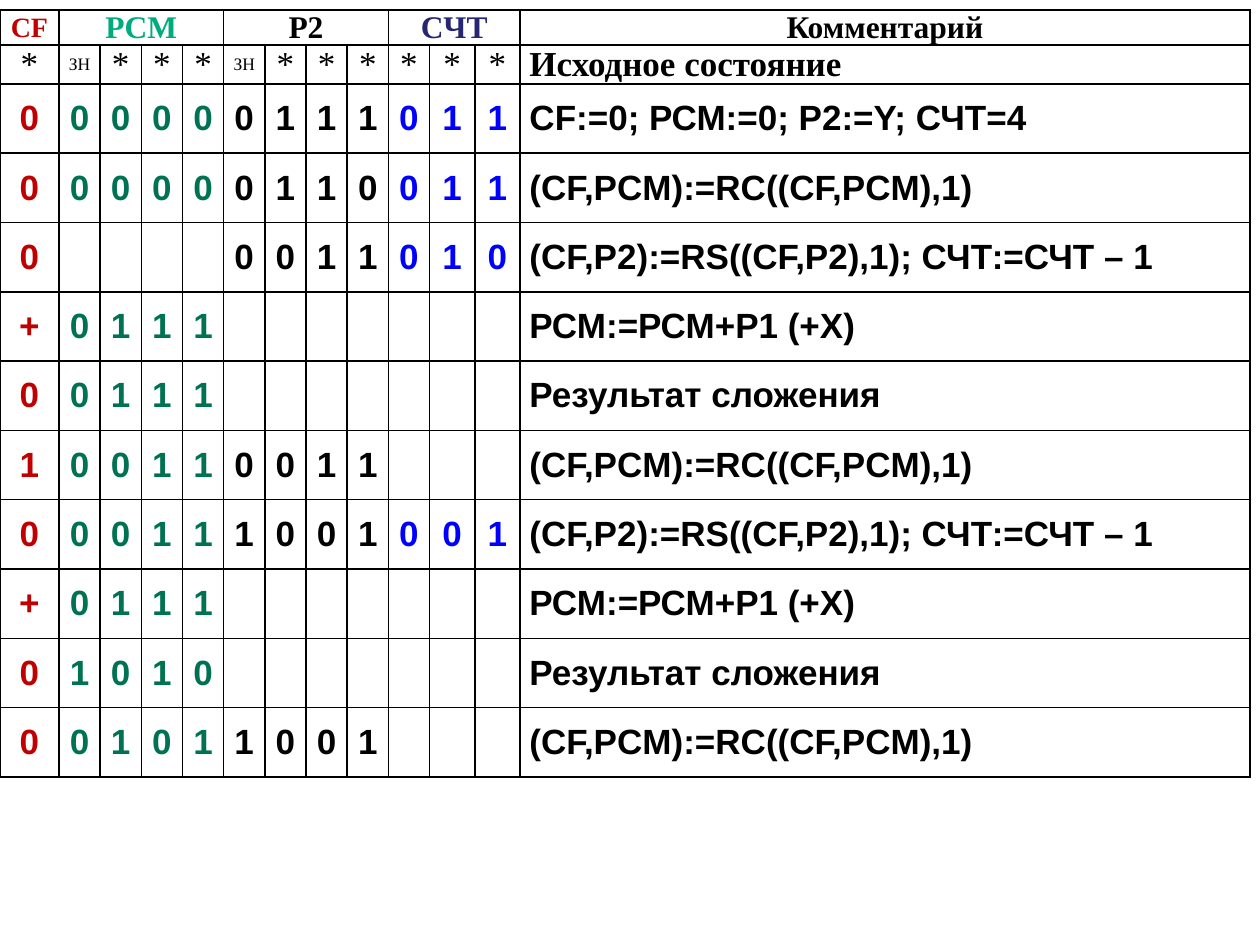
from dataclasses import dataclass

from lxml.etree import SubElement
from pptx import Presentation
from pptx.dml.color import RGBColor
from pptx.enum.text import MSO_ANCHOR, PP_ALIGN
from pptx.oxml.ns import qn
from pptx.util import Pt


@dataclass(frozen=True)
class Theme:
    black: str = "000000"
    red: str = "C00000"
    light_green: str = "00AB7E"
    green: str = "007254"
    navy: str = "262673"
    blue: str = "0000FF"
    serif: str = "Times New Roman"
    sans: str = "Arial"
    sign_size: int = 10
    flag_size: int = 16
    heading_size: int = 18
    body_size: int = 20


theme = Theme()


def write(cell, text, color=theme.black, size=theme.body_size, font=theme.sans,
          bold=True, align=PP_ALIGN.CENTER):
    para = cell.text_frame.paragraphs[0]
    para.alignment = align
    para.space_after = Pt(3)
    span = para.add_run()
    span.text = text
    span.font.name = font
    span.font.size = Pt(size)
    span.font.bold = bold
    span.font.color.rgb = RGBColor.from_string(color)


def outline(cell, width=1):
    """Draw a solid black border on all four sides of a cell."""
    properties = cell._tc.get_or_add_tcPr()
    for side in ("a:lnL", "a:lnR", "a:lnT", "a:lnB"):
        line = SubElement(properties, qn(side), w=str(Pt(width)))
        fill = SubElement(line, qn("a:solidFill"))
        SubElement(fill, qn("a:srgbClr"), val=theme.black)


# Register name, number of bits, heading colour, heading size, bit colour
registers = [
    ("CF", 1, theme.red, theme.flag_size, theme.red),
    ("PCM", 4, theme.light_green, theme.heading_size, theme.green),
    ("P2", 4, theme.black, theme.heading_size, theme.black),
    ("CЧТ", 3, theme.navy, theme.heading_size, theme.blue),
]
bit_marks = ["*", "ЗН", "*", "*", "*", "ЗН", "*", "*", "*", "*", "*", "*"]

rotate = "(CF,PCM):=RС((CF,PCM),1)"
shift = "(CF,P2):=RS((CF,P2),1); СЧТ:=СЧТ – 1"
add = "РСМ:=РСМ+Р1 (+X)"
total = "Результат сложения"
# Register contents (an empty string leaves the cells blank) and comment
steps = [
    (("0", "0000", "0111", "011"), "CF:=0; РСМ:=0; Р2:=Y; СЧТ=4"),
    (("0", "0000", "0110", "011"), rotate),
    (("0", "", "0011", "010"), shift),
    (("+", "0111", "", ""), add),
    (("0", "0111", "", ""), total),
    (("1", "0011", "0011", ""), rotate),
    (("0", "0011", "1001", "001"), shift),
    (("+", "0111", "", ""), add),
    (("0", "1010", "", ""), total),
    (("0", "0101", "1001", ""), rotate),
]

column_widths = [33.7] + [23.54] * 9 + [25.9] * 2 + [417]
row_heights = [19.8] * 2 + [39.6] * len(steps)

deck = Presentation()
deck.slide_width, deck.slide_height = Pt(720), Pt(540)
page = deck.slides.add_slide(deck.slide_layouts[6])

table = page.shapes.add_table(
    len(row_heights), len(column_widths), Pt(0), Pt(5.76),
    Pt(sum(column_widths)), Pt(sum(row_heights))).table
table.first_row = table.horz_banding = False
for column, width in zip(table.columns, column_widths):
    column.width = Pt(width)
for row, height in zip(table.rows, row_heights):
    row.height = Pt(height)

for cell in table.iter_cells():
    outline(cell)
    cell.fill.background()
    cell.vertical_anchor = MSO_ANCHOR.MIDDLE
    cell.margin_left = cell.margin_right = Pt(5.4)
    cell.margin_top = cell.margin_bottom = Pt(0)

comment_column = len(bit_marks)
first = 0
for register, (name, bits, color, size, bit_color) in enumerate(registers):
    heading = table.cell(0, first)
    if bits > 1:
        heading.merge(table.cell(0, first + bits - 1))
    write(heading, name, color=color, size=size, font=theme.serif)
    for row, (contents, comment) in enumerate(steps, start=2):
        for column, bit in enumerate(contents[register], start=first):
            write(table.cell(row, column), bit, color=bit_color)
    first += bits

for column, mark in enumerate(bit_marks):
    size = theme.body_size if mark == "*" else theme.sign_size
    write(table.cell(1, column), mark, size=size, font=theme.serif, bold=False)

write(table.cell(0, comment_column), "Комментарий",
      size=theme.heading_size, font=theme.serif)
write(table.cell(1, comment_column), "Исходное состояние",
      font=theme.serif, align=PP_ALIGN.LEFT)
for row, (contents, comment) in enumerate(steps, start=2):
    write(table.cell(row, comment_column), comment, align=PP_ALIGN.LEFT)

deck.save("out.pptx")
